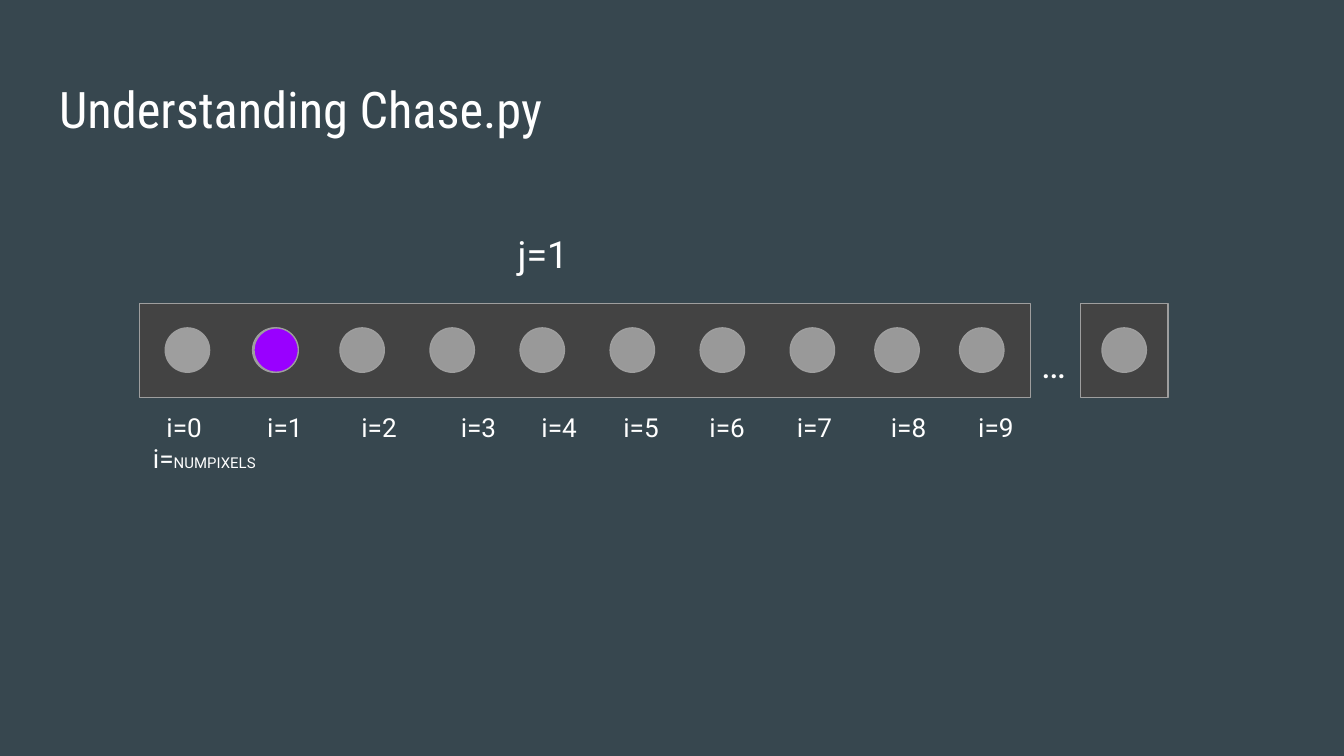
import pptx
import pptx.dml.color
import pptx.enum.shapes
import pptx.enum.text
import pptx.oxml.ns
import pptx.util
from lxml import etree

Inches = pptx.util.Inches
Pt = pptx.util.Pt
RGBColor = pptx.dml.color.RGBColor
SHAPE = pptx.enum.shapes.MSO_SHAPE
ALIGN = pptx.enum.text.PP_ALIGN

# Look
BACKGROUND = RGBColor(0x37, 0x47, 0x4F)
STRIP = RGBColor(0x43, 0x43, 0x43)
OUTLINE = RGBColor(0x9E, 0x9E, 0x9E)
UNLIT = RGBColor(0x99, 0x99, 0x99)
LIT = RGBColor(0x99, 0x00, 0xFF)
WHITE = RGBColor(0xFF, 0xFF, 0xFF)
STRIP_TOP, STRIP_HEIGHT = 2.26, 0.7
PIXEL_TOP, PIXEL_SIZE = 2.44, 0.33

# Content
TITLE = "Understanding Chase.py"
LAST_LABEL = ("i=", "NUMPIXELS")
CAPTIONS = [("j=1", 3.59, 1.62), ("…", 7.39, 2.44)]  # text, left, top
STRIPS = [(1.04, 6.63), (8.04, 0.65)]  # left, width
# The lit pixel lies on a grey one that shows as its rim
PIXELS = [(1.23, OUTLINE), (1.88, OUTLINE), (1.89, LIT)] + [
    (left, UNLIT)
    for left in (2.53, 3.2, 3.87, 4.54, 5.21, 5.88, 6.51, 7.14, 8.2)]
LABEL_TABS = [0.1, 0.85, 1.55, 2.29, 2.89, 3.5, 4.14, 4.79, 5.49, 6.14]


def style_font(font, size, name="Roboto"):
    font.name, font.size = name, Pt(size)
    font.color.rgb = WHITE


def set_margins(frame):
    frame.margin_left = frame.margin_right = Inches(0.1)
    frame.margin_top = frame.margin_bottom = Inches(0.1)
    frame.word_wrap = True


def add_shape(kind, left, top, width, height, color):
    shape = page.shapes.add_shape(
        kind, Inches(left), Inches(top), Inches(width), Inches(height))
    shape.shadow.inherit = False
    shape.fill.solid()
    shape.fill.fore_color.rgb = color
    shape.line.color.rgb = OUTLINE
    shape.line.width = Pt(0.75)


def add_text(left, top, width, height):
    box = page.shapes.add_textbox(
        Inches(left), Inches(top), Inches(width), Inches(height))
    set_margins(box.text_frame)
    return box.text_frame.paragraphs[0]


def add_tabs(para, stops):
    properties = para._p.get_or_add_pPr()
    tabs = etree.SubElement(properties, pptx.oxml.ns.qn("a:tabLst"))
    for stop in stops:
        etree.SubElement(tabs, pptx.oxml.ns.qn("a:tab"),
                         pos=str(Inches(stop)), algn="l")


# Widescreen page
deck = pptx.Presentation()
deck.slide_width = Inches(10)
deck.slide_height = deck.slide_width * 9 // 16
page = deck.slides.add_slide(deck.slide_layouts[5])
page.background.fill.solid()
page.background.fill.fore_color.rgb = BACKGROUND

# Title
title = page.shapes.title
title.left, title.top = Inches(0.34), Inches(0.49)
title.width, title.height = Inches(9.32), Inches(0.63)
set_margins(title.text_frame)
title.text_frame.vertical_anchor = pptx.enum.text.MSO_ANCHOR.MIDDLE
title.text_frame.text = TITLE
para = title.text_frame.paragraphs[0]
para.alignment = ALIGN.LEFT
style_font(para.font, 27, "Roboto Condensed")

# Strips and pixels
for left, width in STRIPS:
    add_shape(SHAPE.RECTANGLE, left, STRIP_TOP, width, STRIP_HEIGHT, STRIP)
for left, color in PIXELS:
    add_shape(SHAPE.OVAL, left, PIXEL_TOP, PIXEL_SIZE, PIXEL_SIZE, color)

# Index labels
para = add_text(1.04, 2.96, 7.93, 0.44)
add_tabs(para, LABEL_TABS)
style_font(para.font, 14)
prefix, count = LAST_LABEL
para.add_run().text = "".join(f"\ti={i}" for i in range(len(LABEL_TABS)))
para.add_line_break()
para.add_run().text = prefix
span = para.add_run()
span.text = count
span.font.size = Pt(8)

# Step caption and ellipsis
for text, left, top in CAPTIONS:
    para = add_text(left, top, 0.9, 0.54)
    para.text = text
    para.alignment = ALIGN.CENTER
    style_font(para.font, 20)

deck.save("out.pptx")
